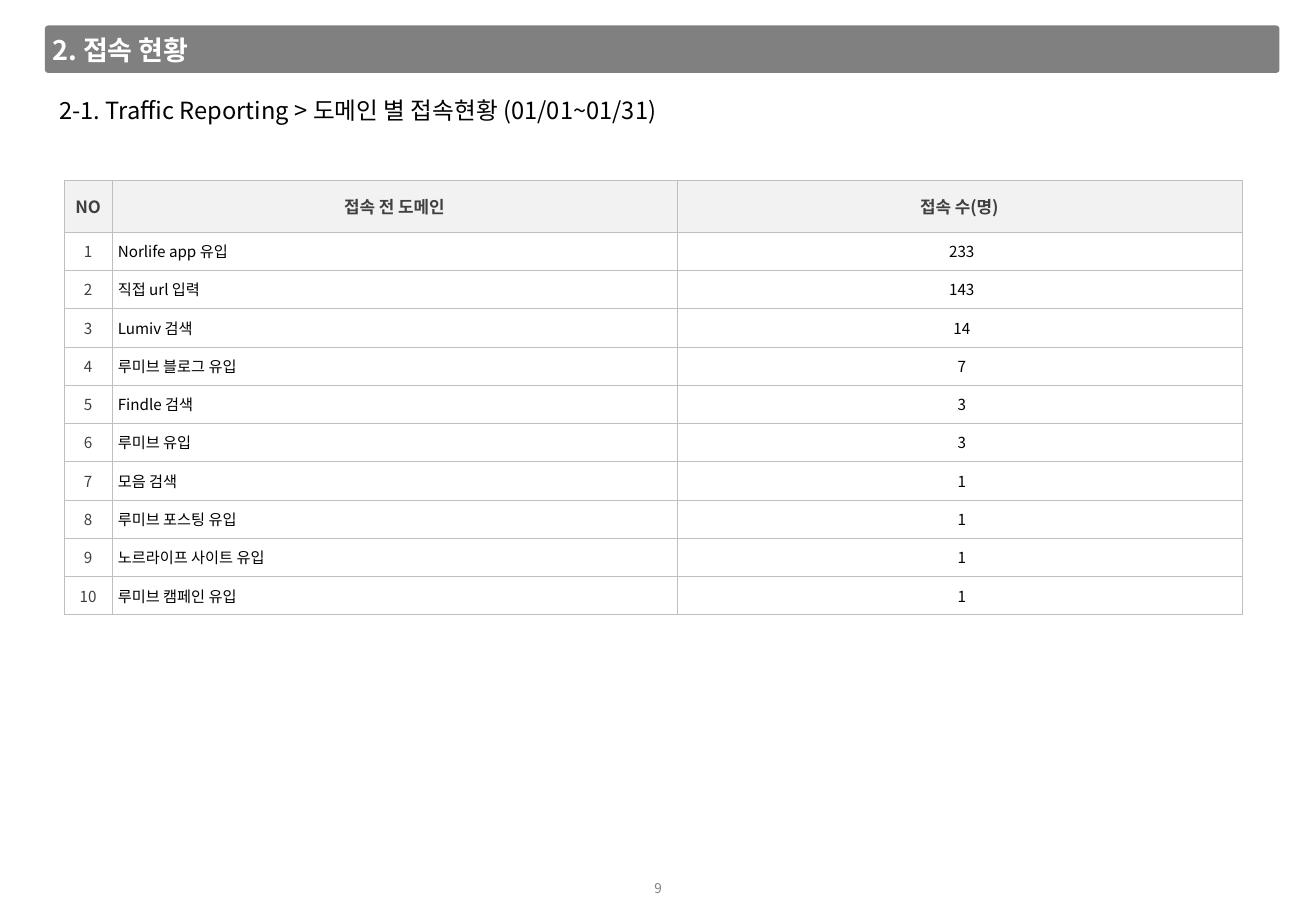
import pptx
import pptx.util
import pptx.dml.color
import pptx.enum.shapes
import pptx.enum.text
import pptx.oxml
import pptx.oxml.ns
from pptx.util import Inches

COLORS = {"bar": "808080", "white": "FFFFFF", "black": "000000",
          "label": "404040", "header": "F2F2F2", "border": "BFBFBF"}
ALIGN = pptx.enum.text.PP_ALIGN
MIDDLE = pptx.enum.text.MSO_ANCHOR.MIDDLE


def rgb(name):
    """Return the named palette colour."""
    return pptx.dml.color.RGBColor.from_string(COLORS[name])


class Report:
    """Holds the report style and the current slide."""

    font = "Noto Sans CJK KR"

    def __init__(self, s):
        """Draw on slide s."""
        self.s = s

    def set_text(self, tf, text, size, color, bold=False, align=ALIGN.LEFT):
        """Set one formatted paragraph in a text frame."""
        p = tf.paragraphs[0]
        p.text = text
        p.alignment = align
        for r in p.runs:
            r.font.name = self.font
            r.font.size = pptx.util.Pt(size)
            r.font.bold = bold
            r.font.color.rgb = rgb(color)
            ea = pptx.oxml.parse_xml(
                f'<a:ea {pptx.oxml.ns.nsdecls("a")} typeface="{self.font}"/>')
            r.font._element.find(pptx.oxml.ns.qn("a:latin")).addnext(ea)

    def bar(self, x, y, w, h):
        """Add the rounded title bar."""
        sp = self.s.shapes.add_shape(
            pptx.enum.shapes.MSO_SHAPE.ROUNDED_RECTANGLE,
            Inches(x), Inches(y), Inches(w), Inches(h))
        sp.adjustments[0] = 0.07
        sp.shadow.inherit = False
        sp.fill.solid()
        sp.fill.fore_color.rgb = rgb("bar")
        sp.line.fill.background()

    def text(self, x, y, w, h, text, size, color, inset=0.05,
             anchor=pptx.enum.text.MSO_ANCHOR.TOP, **style):
        """Add a one-line text box that grows with its text."""
        tf = self.s.shapes.add_textbox(
            Inches(x), Inches(y), Inches(w), Inches(h)).text_frame
        tf.word_wrap = False
        tf.auto_size = pptx.enum.text.MSO_AUTO_SIZE.SHAPE_TO_FIT_TEXT
        tf.vertical_anchor = anchor
        tf.margin_left = tf.margin_right = Inches(inset)
        tf.margin_top = tf.margin_bottom = Inches(inset)
        self.set_text(tf, text, size, color, **style)

    def cell(self, cell, text, size, color, fill=None, inset=0.05, **style):
        """Fill one table cell and draw its borders."""
        cell.vertical_anchor = MIDDLE
        cell.margin_left = Inches(0.05)
        cell.margin_right = cell.margin_top = cell.margin_bottom = Inches(inset)
        tcPr = cell._tc.get_or_add_tcPr()
        for side in "LRTB":
            tcPr.append(pptx.oxml.parse_xml(
                f'<a:ln{side} {pptx.oxml.ns.nsdecls("a")} w="3175"><a:solidFill>'
                f'<a:srgbClr val="{COLORS["border"]}"/></a:solidFill></a:ln{side}>'))
        if fill:
            cell.fill.solid()
            cell.fill.fore_color.rgb = rgb(fill)
        else:
            cell.fill.background()
        self.set_text(cell.text_frame, text, size, color, **style)

    def table(self, x, y, widths, head_h, row_h, header, rows):
        """Add a numbered table of domains and visits."""
        height = head_h + row_h * len(rows)
        tbl = self.s.shapes.add_table(
            len(rows) + 1, len(widths), Inches(x), Inches(y),
            Inches(sum(widths)), Inches(height)).table
        for col, w in zip(tbl.columns, widths):
            col.width = Inches(w)
        for i, row in enumerate(tbl.rows):
            row.height = Inches(row_h if i else head_h)
        for c, title in enumerate(header):
            self.cell(tbl.cell(0, c), title, 10, "label", fill="header",
                      bold=True, align=ALIGN.CENTER)
        for i, (domain, visits) in enumerate(rows, 1):
            self.cell(tbl.cell(i, 0), str(i), 9, "label", align=ALIGN.CENTER)
            self.cell(tbl.cell(i, 1), domain, 9, "black", inset=0.01)
            self.cell(tbl.cell(i, 2), str(visits), 9, "black", inset=0.01,
                      align=ALIGN.CENTER)


HEADER = ["NO", "접속 전 도메인", "접속 수(명)"]
VISITS = [
    ("Norlife app 유입", 233),
    ("직접 url 입력", 143),
    ("Lumiv 검색", 14),
    ("루미브 블로그 유입", 7),
    ("Findle 검색", 3),
    ("루미브 유입", 3),
    ("모음 검색", 1),
    ("루미브 포스팅 유입", 1),
    ("노르라이프 사이트 유입", 1),
    ("루미브 캠페인 유입", 1),
]

prs = pptx.Presentation()
prs.slide_width, prs.slide_height = Inches(10.83), Inches(7.5)
report = Report(prs.slides.add_slide(prs.slide_layouts[6]))
report.bar(0.37, 0.21, 10.16, 0.39)
report.text(5.34, 7.2, 0.15, 0.22, "9", 8, "bar", inset=0.04,
            anchor=MIDDLE, align=ALIGN.CENTER)
report.table(0.53, 1.48, [0.39, 4.65, 4.65], 0.43, 3.15 / len(VISITS),
             HEADER, VISITS)
report.text(0.38, 0.23, 1.35, 0.37, "2. 접속 현황", 16, "white", bold=True)
report.text(0.44, 0.74, 5.33, 0.34,
            "2-1. Traffic Reporting > 도메인 별 접속현황 (01/01~01/31)",
            14, "black")
prs.save("out.pptx")
